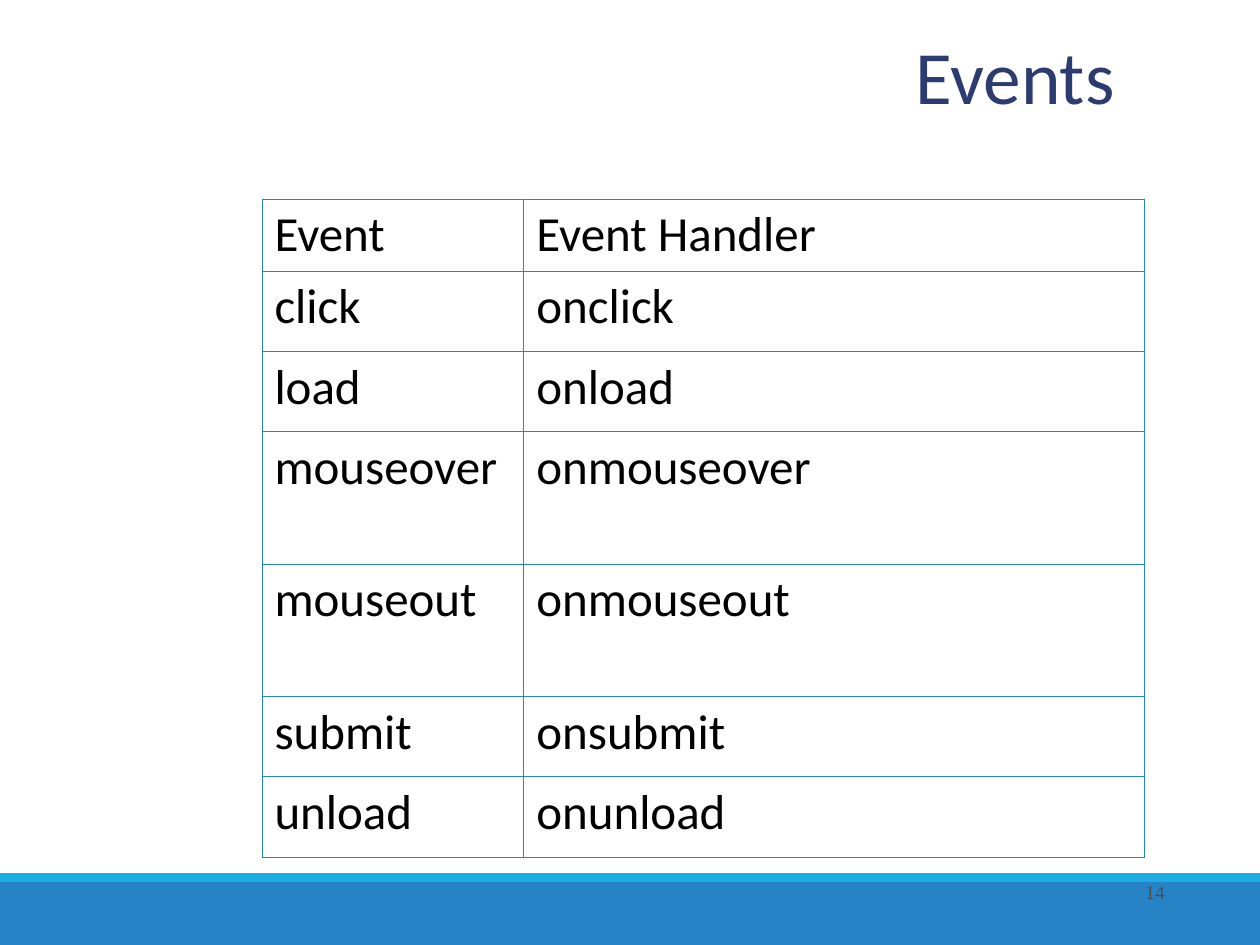
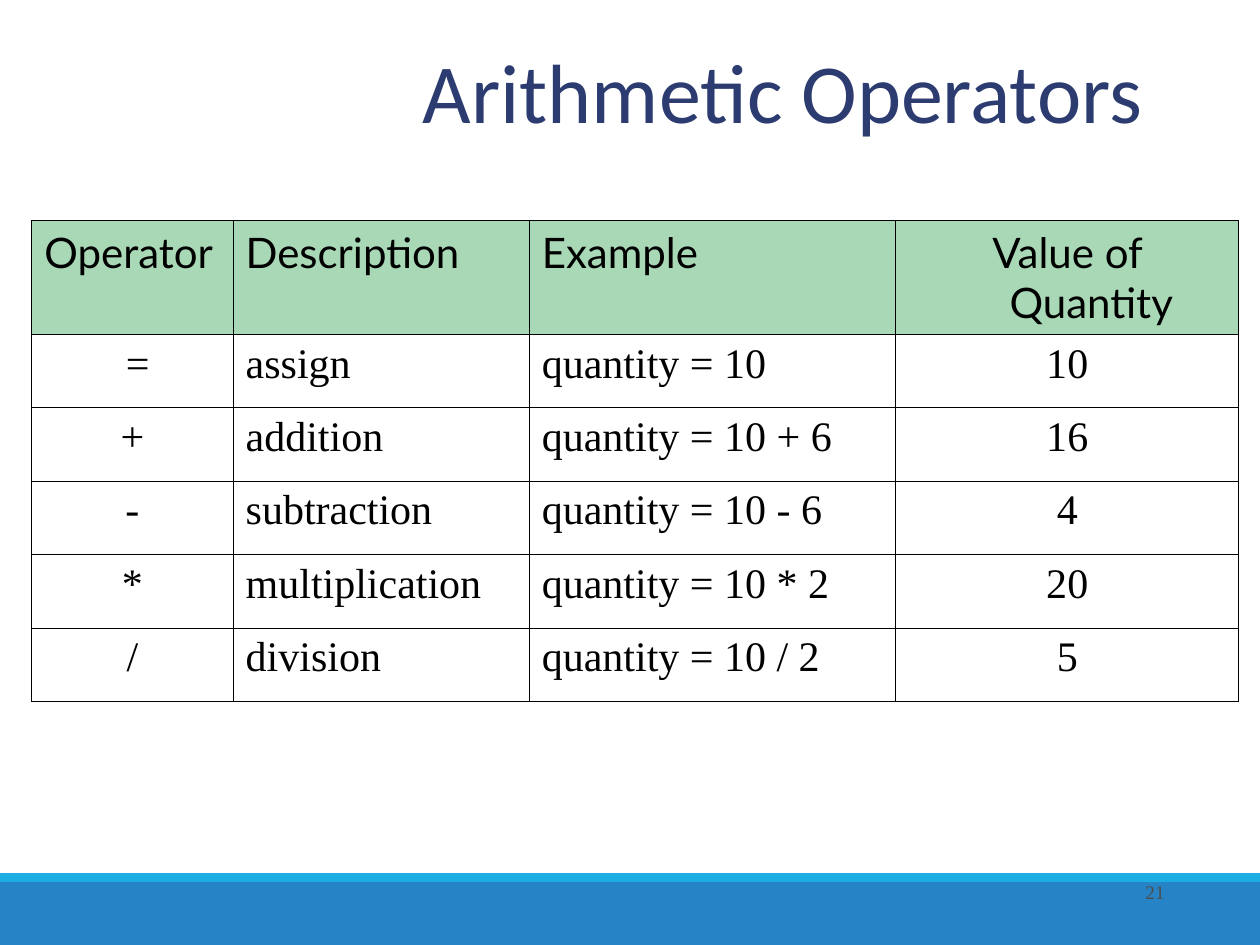
from dataclasses import dataclass

from lxml import etree
from pptx import Presentation
from pptx.dml.color import RGBColor
from pptx.enum.shapes import MSO_SHAPE
from pptx.enum.text import MSO_ANCHOR, PP_ALIGN
from pptx.oxml.ns import qn
from pptx.util import Cm, Pt

LEFT, CENTER, RIGHT = PP_ALIGN.LEFT, PP_ALIGN.CENTER, PP_ALIGN.RIGHT
MIDDLE, BOTTOM = MSO_ANCHOR.MIDDLE, MSO_ANCHOR.BOTTOM
RECTANGLE = MSO_SHAPE.RECTANGLE


@dataclass(frozen=True)
class Theme:
    band: str = "2683C6"
    band_edge: str = "1CADE4"
    title: str = "2C3C70"
    text: str = "000000"
    number: str = "4D4D4D"
    header_fill: str = "A9D8B7"
    body_fill: str = "FFFFFF"
    sans: str = "Calibri"
    header_font: str = "Lato"
    serif: str = "Times New Roman"
    number_size: float = 11
    border_width: float = 0.45
    title_spacing: float = 0.85
    hanging_indent: float = 0.97


THEME = Theme()
SLIDE_WIDTH, SLIDE_HEIGHT = 25.4, 19.05
BAND_TOP, BAND_EDGE_HEIGHT = 17.78, 0.18
NUMBER_BOX = (20.12, 17.35, 3.61, 1.27)

# Boxes are left, top, width, height in centimetres.
SLIDES = [
    {
        "title": "Events ",
        "title_box": (5.28, 0.64, 17.78, 1.9),
        "title_size": 43,
        "number": "14",
        "table": {
            "rows": [
                ("Event", "Event Handler"),
                ("click", "onclick"),
                ("load", "onload"),
                ("mouseover", "onmouseover"),
                ("mouseout", "onmouseout"),
                ("submit", "onsubmit"),
                ("unload", "onunload"),
            ],
            "origin": (5.28, 4.01),
            "widths": (5.28, 12.5),
            "heights": (1.45, 1.62, 1.62, 2.67, 2.67, 1.62, 1.62),
            "header_alignments": (LEFT, LEFT),
            "body_alignments": (LEFT, LEFT),
            "fonts": (THEME.sans, THEME.sans),
            "fills": (None, None),
            "size": 28,
            "border": THEME.band,
        },
    },
    {
        "title": "Arithmetic Operators",
        "title_box": (5.51, 0, 17.78, 2.97),
        "title_size": 48,
        "number": "21",
        "table": {
            "rows": [
                ("Operator", "Description", "Example", "Value of Quantity"),
                (" =", "assign", "quantity = 10", "10"),
                ("+", "addition", "quantity = 10 + 6", "16"),
                ("-", "subtraction", "quantity = 10 - 6", "4"),
                ("*", "multiplication", "quantity = 10 * 2", "20"),
                ("/", "division", "quantity = 10 / 2", "5"),
            ],
            "origin": (0.64, 4.45),
            "widths": (4.06, 5.97, 7.39, 6.91),
            "heights": (2.29,) + (1.48,) * 5,
            "header_alignments": (LEFT, LEFT, LEFT, CENTER),
            "body_alignments": (CENTER, LEFT, LEFT, CENTER),
            "fonts": (THEME.header_font, THEME.serif),
            "fills": (THEME.header_fill, THEME.body_fill),
            "size": 24,
            "border": THEME.text,
        },
    },
]


def write(text_frame, text, font_name, size, color, alignment):
    text_frame.text = text
    paragraph = text_frame.paragraphs[0]
    paragraph.alignment = alignment
    font = paragraph.runs[0].font
    font.name, font.size = font_name, Pt(size)
    font.color.rgb = RGBColor.from_string(color)
    return paragraph


def add_text(slide, box, anchor, *style):
    text_frame = slide.shapes.add_textbox(*map(Cm, box)).text_frame
    text_frame.word_wrap = True
    text_frame.vertical_anchor = anchor
    return write(text_frame, *style)


def add_band(slide, top, height, color):
    band = slide.shapes.add_shape(
        RECTANGLE, 0, Cm(top), Cm(SLIDE_WIDTH), Cm(height))
    band.shadow.inherit = False
    band.fill.solid()
    band.fill.fore_color.rgb = RGBColor.from_string(color)
    band.line.fill.background()


def set_borders(cell, color):
    properties = cell._tc.get_or_add_tcPr()
    for side in ("a:lnL", "a:lnR", "a:lnT", "a:lnB"):
        line = etree.SubElement(
            properties, qn(side), w=str(Pt(THEME.border_width)))
        fill = etree.SubElement(line, qn("a:solidFill"))
        etree.SubElement(fill, qn("a:srgbClr"), val=color)


def set_fill(cell, color):
    if color is None:
        cell.fill.background()
    else:
        cell.fill.solid()
        cell.fill.fore_color.rgb = RGBColor.from_string(color)


def set_hanging_indent(paragraph):
    properties = paragraph._p.get_or_add_pPr()
    indent = Cm(THEME.hanging_indent)
    properties.set("marL", str(indent))
    properties.set("indent", str(-indent))


def add_table(slide, content):
    rows, widths, heights = (content[k] for k in ("rows", "widths", "heights"))
    table = slide.shapes.add_table(
        len(rows), len(widths), *map(Cm, content["origin"]),
        Cm(sum(widths)), Cm(sum(heights))).table
    table.first_row = table.horz_banding = False
    for column, width in zip(table.columns, widths):
        column.width = Cm(width)
    for row_index, texts in enumerate(rows):
        table.rows[row_index].height = Cm(heights[row_index])
        part = min(row_index, 1)  # 0 for the header, 1 for the body
        alignments = content[("header_alignments", "body_alignments")[part]]
        for column_index, text in enumerate(texts):
            cell = table.cell(row_index, column_index)
            set_borders(cell, content["border"])
            set_fill(cell, content["fills"][part])
            paragraph = write(
                cell.text_frame, text, content["fonts"][part],
                content["size"], THEME.text, alignments[column_index])
            set_hanging_indent(paragraph)


def build_slide(presentation, content):
    slide = presentation.slides.add_slide(presentation.slide_layouts[6])
    add_band(slide, BAND_TOP, SLIDE_HEIGHT - BAND_TOP, THEME.band)
    add_band(slide, BAND_TOP - BAND_EDGE_HEIGHT, BAND_EDGE_HEIGHT,
             THEME.band_edge)
    title = add_text(slide, content["title_box"], BOTTOM, content["title"],
                     THEME.sans, content["title_size"], THEME.title, RIGHT)
    title.line_spacing = THEME.title_spacing
    add_table(slide, content["table"])
    add_text(slide, NUMBER_BOX, MIDDLE, content["number"],
             THEME.serif, THEME.number_size, THEME.number, RIGHT)


def main():
    presentation = Presentation()
    presentation.slide_width = Cm(SLIDE_WIDTH)
    presentation.slide_height = Cm(SLIDE_HEIGHT)
    for content in SLIDES:
        build_slide(presentation, content)
    presentation.save("out.pptx")


if __name__ == "__main__":
    main()
